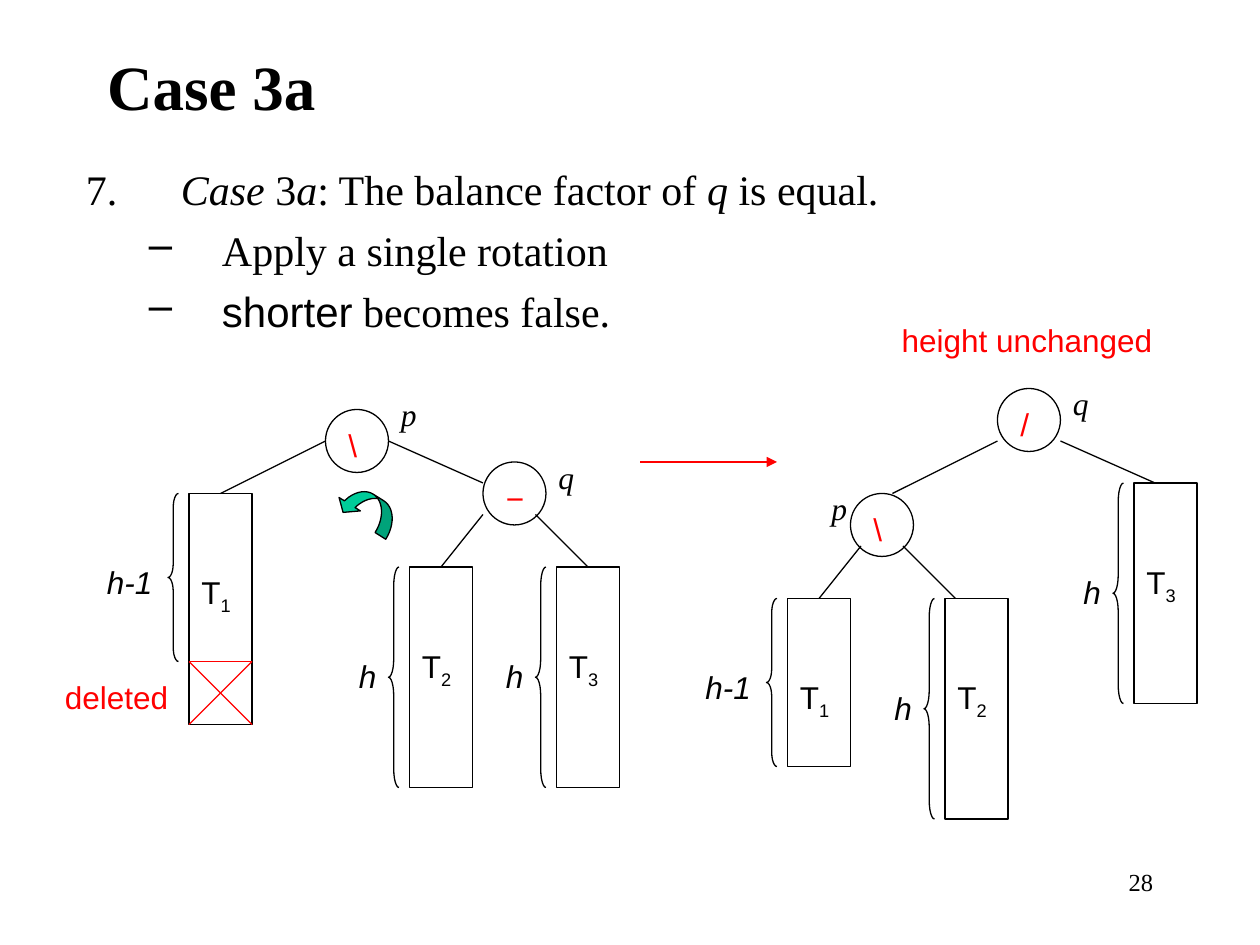
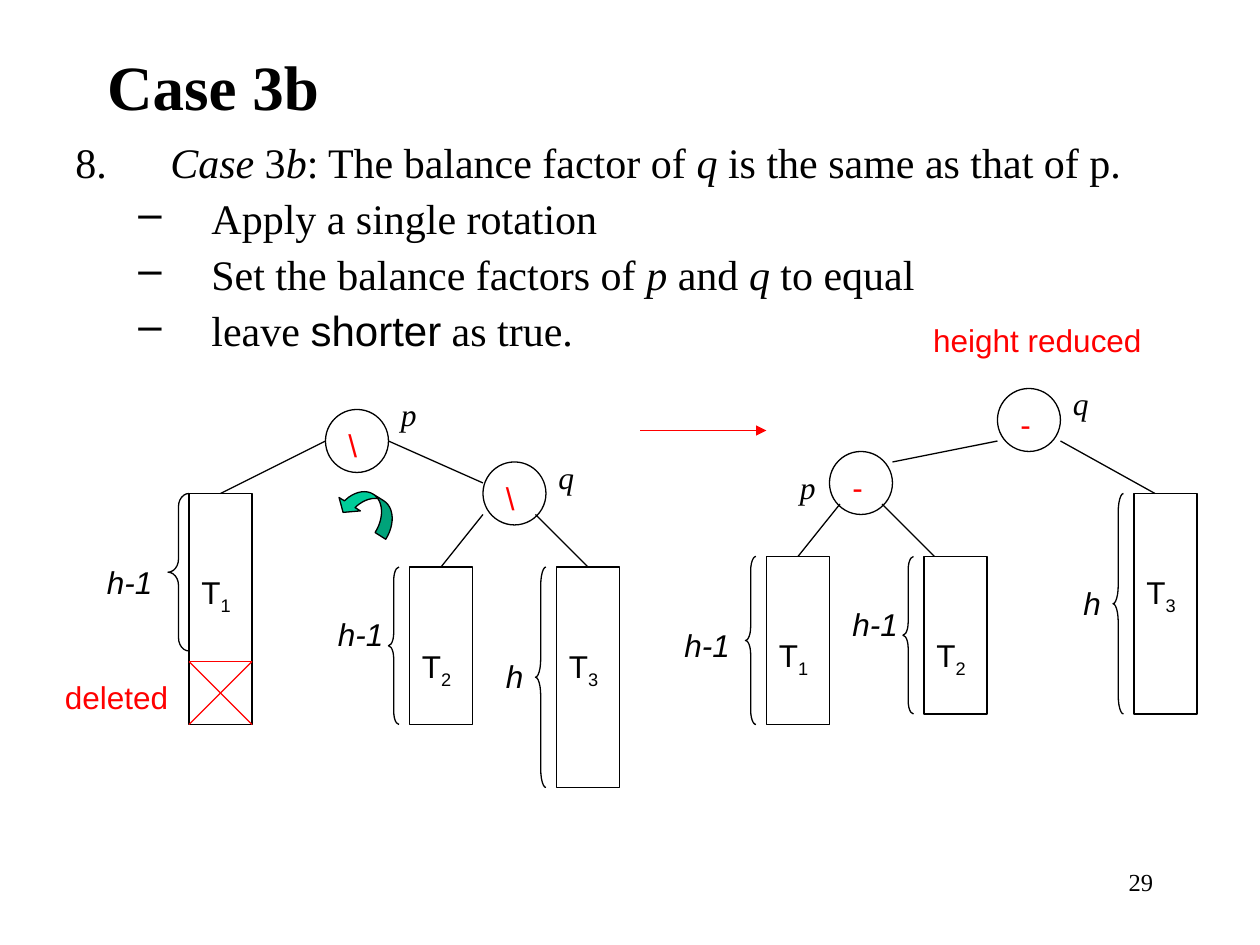
from dataclasses import dataclass

from pptx import Presentation
from pptx.dml.color import RGBColor as Rgb
from pptx.enum.shapes import MSO_CONNECTOR as Link, MSO_SHAPE as Preset
from pptx.enum.text import MSO_ANCHOR as Anchor, MSO_AUTO_SIZE as AutoSize, PP_ALIGN as Align
from pptx.oxml.ns import qn
from pptx.util import Inches, Pt


@dataclass(frozen=True)
class Theme:
    ink: Rgb = Rgb(0, 0, 0)
    accent: Rgb = Rgb(0xFF, 0, 0)
    turn: Rgb = Rgb(0, 0xCC, 0x99)
    serif: str = "Times New Roman"
    sans: str = "Arial"
    title_size: int = 36
    body_size: int = 24
    label_size: int = 18
    number_size: int = 14
    line_width: float = 0.75


THEME = Theme()
NODE = 6           # node diameter and subtree width, in grid cells
LABEL_HEIGHT = 4.8
TITLE_ONLY = 5

# Subtree height: (height label, cells left of the brace, cells below the top)
HEIGHT_LABELS = {
    22: ("h-1", 7, 6),
    21: ("h", 4, 8),
    16: ("h-1", 7, 6),
    15: ("h-1", 6, 4),
}


def cells(count):
    """The diagrams sit on a grid of twelve cells to the inch."""
    return Inches(count / 12)


# Text
def add_span(para, text, size, font=THEME.serif, color=THEME.ink,
             bold=False, italic=False, subscript=False):
    span = para.add_run()
    span.text = text
    span.font.size, span.font.name = Pt(size), font
    span.font.bold, span.font.italic = bold, italic
    span.font.color.rgb = color
    if subscript:
        span.font._element.set("baseline", "-25000")


def add_box(slide, x, y, width, height):
    box = slide.shapes.add_textbox(cells(x), cells(y), cells(width), cells(height))
    box.text_frame.word_wrap = True
    return box.text_frame


def add_label(slide, x, y, width, text, subscript="", **style):
    para = add_box(slide, x, y, width, LABEL_HEIGHT).paragraphs[0]
    style = {"font": THEME.sans, **style}
    add_span(para, text, THEME.label_size, **style)
    if subscript:
        add_span(para, subscript, THEME.label_size, subscript=True, **style)


def add_title(slide, text):
    title = slide.shapes.title
    title.left, title.top = Inches(0.75), Inches(0.43)
    title.width, title.height = Inches(8.5), Inches(0.5)
    frame = title.text_frame
    frame.auto_size = AutoSize.NONE
    frame.vertical_anchor = Anchor.MIDDLE
    para = frame.paragraphs[0]
    para.alignment = Align.LEFT
    add_span(para, text, THEME.title_size, bold=True)


def add_page_number(slide, number):
    para = add_box(slide, 86, 82, 25, 6).paragraphs[0]
    para.alignment = Align.RIGHT
    add_span(para, str(number), THEME.number_size)


def set_bullet(para, margin, hang, tag, **attributes):
    props = para._p.get_or_add_pPr()
    props.set("marL", str(Inches(margin)))
    props.set("indent", str(-Inches(hang)))
    bullet = props.makeelement(qn(tag), attributes)
    props.append(bullet)


def add_body(slide, x, y, height, number, spacing, lines):
    """First line is numbered, the rest are dashed; '*' marks italic, '#' sans."""
    frame = add_box(slide, x, y, 108, height)
    for index, pieces in enumerate(lines):
        para = frame.add_paragraph() if index else frame.paragraphs[0]
        para.space_before = Pt(6)
        para.line_spacing = spacing
        if index:
            para.level = 1
            set_bullet(para, 1.08, 0.58, "a:buChar", char="–")
        else:
            set_bullet(para, 0.67, 0.67, "a:buAutoNum",
                       type="arabicPeriod", startAt=str(number))
        for piece in pieces:
            add_span(para, piece.lstrip("*#"), THEME.body_size,
                     font=THEME.sans if piece.startswith("#") else THEME.serif,
                     italic=piece.startswith("*"))


# Lines and outlines
def add_line(slide, start, end, color=THEME.ink, arrow=False):
    line = slide.shapes.add_connector(Link.STRAIGHT, *map(cells, (*start, *end)))
    line.line.color.rgb = color
    line.line.width = Pt(THEME.line_width)
    if arrow:
        stroke = line.line._get_or_add_ln()
        stroke.append(stroke.makeelement(qn("a:tailEnd"), {"type": "triangle"}))
    props = line._element.spPr
    props.append(props.makeelement(qn("a:effectLst"), {}))


def add_outline(slide, preset, x, y, width, height, adjustments=(), fill=None):
    shape = slide.shapes.add_shape(preset, *map(cells, (x, y, width, height)))
    shape.shadow.inherit = False
    shape.line.color.rgb = THEME.ink
    shape.line.width = Pt(THEME.line_width)
    if fill is None:
        shape.fill.background()
    else:
        shape.fill.solid()
        shape.fill.fore_color.rgb = fill
    for index, value in enumerate(adjustments):
        shape.adjustments[index] = value
    return shape


# Tree parts
def add_node(slide, x, y, factor, name, name_offset):
    add_outline(slide, Preset.OVAL, x, y, NODE, NODE)
    add_label(slide, x + 1, y + 1, 5, factor, color=THEME.accent)
    right, down = name_offset
    add_label(slide, x + right, y + down, 7, name, font=THEME.serif, italic=True)


def add_subtree(slide, number, x, y, height, span=None, brace_width=1):
    span = span or height
    add_outline(slide, Preset.RECTANGLE, x, y, NODE, height)
    add_label(slide, x, y + 7, NODE, "T", subscript=str(number))
    brace_x = x - 2
    add_outline(slide, Preset.LEFT_BRACE, brace_x, y, brace_width, span,
                (span / brace_width / 12, 0.5))
    text, left, down = HEIGHT_LABELS[height]
    add_label(slide, brace_x - left, y + down, left + (2 if text == "h" else 4),
              text, italic=True)


def add_deleted_part(slide, left, top):
    right, bottom = left + NODE, top + NODE
    for start, end in (((left, top), (right, top)),
                       ((left, top), (right, bottom)),
                       ((right, top), (left, bottom))):
        add_line(slide, start, end, THEME.accent)
    add_label(slide, 5, 64, 14, "deleted", color=THEME.accent)


def add_rotation_arrow(slide):
    arrow = add_outline(slide, Preset.CURVED_LEFT_ARROW, 33.5, 45.5, 3, 6,
                        (0.4, 0.8, 0.333), THEME.turn)
    arrow.rotation = 302.2
    arrow._element.spPr.xfrm.set("flipV", "1")


# Whole trees
def add_tree_before(slide, q_factor, t2_height, t1_span, t1_brace_width):
    add_node(slide, 31, 39, "\\", "p", (6, -2))
    add_node(slide, 46, 44, q_factor, "q", (6, -1))
    add_subtree(slide, 1, 18, 47, 22, t1_span, t1_brace_width)
    add_subtree(slide, 2, 39, 54, t2_height)
    add_subtree(slide, 3, 53, 54, 21)
    add_deleted_part(slide, 18, 63)
    for start, end in (((31, 42), (21, 47)), ((37, 42), (46, 46)),
                       ((46, 49), (42, 54)), ((51, 49), (56, 54))):
        add_line(slide, start, end)
    add_rotation_arrow(slide)


def add_tree_after(slide, q_factor, p_factor, p_at, p_name_offset, p_join,
                   t2_height, t3_top):
    x, y = p_at
    add_node(slide, 95, 37, q_factor, "q", (6, -1))
    add_node(slide, x, y, p_factor, "p", p_name_offset)
    add_subtree(slide, 1, x - 6, y + 10, 16)
    add_subtree(slide, 2, x + 9, y + 10, t2_height)
    add_subtree(slide, 3, 108, t3_top, 21)
    for start, end in (((95, 42), p_join), ((101, 42), (110, t3_top)),
                       ((x + 1, y + 5), (x - 3, y + 10)),
                       ((x + 5, y + 5), (x + 10, y + 10))):
        add_line(slide, start, end)


def add_outcome(slide, text, text_x, arrow_end):
    add_label(slide, text_x, 30, 30, text, color=THEME.accent)
    add_line(slide, (61, arrow_end[1]), arrow_end, THEME.accent, arrow=True)


def add_case(deck, title, page_number):
    slide = deck.slides.add_slide(deck.slide_layouts[TITLE_ONLY])
    add_title(slide, title)
    add_page_number(slide, page_number)
    return slide


def main():
    deck = Presentation()
    deck.slide_width, deck.slide_height = Inches(10), Inches(7.5)

    # Case 3a: q is balanced
    slide = add_case(deck, "Case 3a", 28)
    add_body(slide, 7, 15, 18, 7, 1.0, [
        (" ", "*Case", " 3", "*a", ": The balance factor of ", "*q", " is equal."),
        ("Apply a single rotation",),
        ("#shorter", " becomes false."),
    ])
    add_tree_before(slide, "−", t2_height=21, t1_span=16, t1_brace_width=1)
    add_tree_after(slide, "/", "\\", p_at=(81, 47), p_name_offset=(-3, -1),
                   p_join=(85, 47), t2_height=21, t3_top=46)
    add_outcome(slide, "height unchanged", 84.7, (74, 44))

    # Case 3b: q leans the same way as p
    slide = add_case(deck, "Case 3b", 29)
    add_body(slide, 6, 13, 23, 8, 0.9, [
        (" ", "*Case", " 3", "*b", ": The balance factor of ", "*q",
         " is the same as that of p."),
        ("Apply a single rotation",),
        ("Set the balance factors of ", "*p", " and ", "*q", " to equal"),
        ("leave ", "#shorter", " as true."),
    ])
    add_tree_before(slide, "\\", t2_height=15, t1_span=15, t1_brace_width=2)
    add_tree_after(slide, "-", "-", p_at=(79, 43), p_name_offset=(-4, 1),
                   p_join=(85, 44), t2_height=15, t3_top=47)
    add_outcome(slide, "height reduced", 87.7, (73, 41))

    deck.save("out.pptx")


if __name__ == "__main__":
    main()
